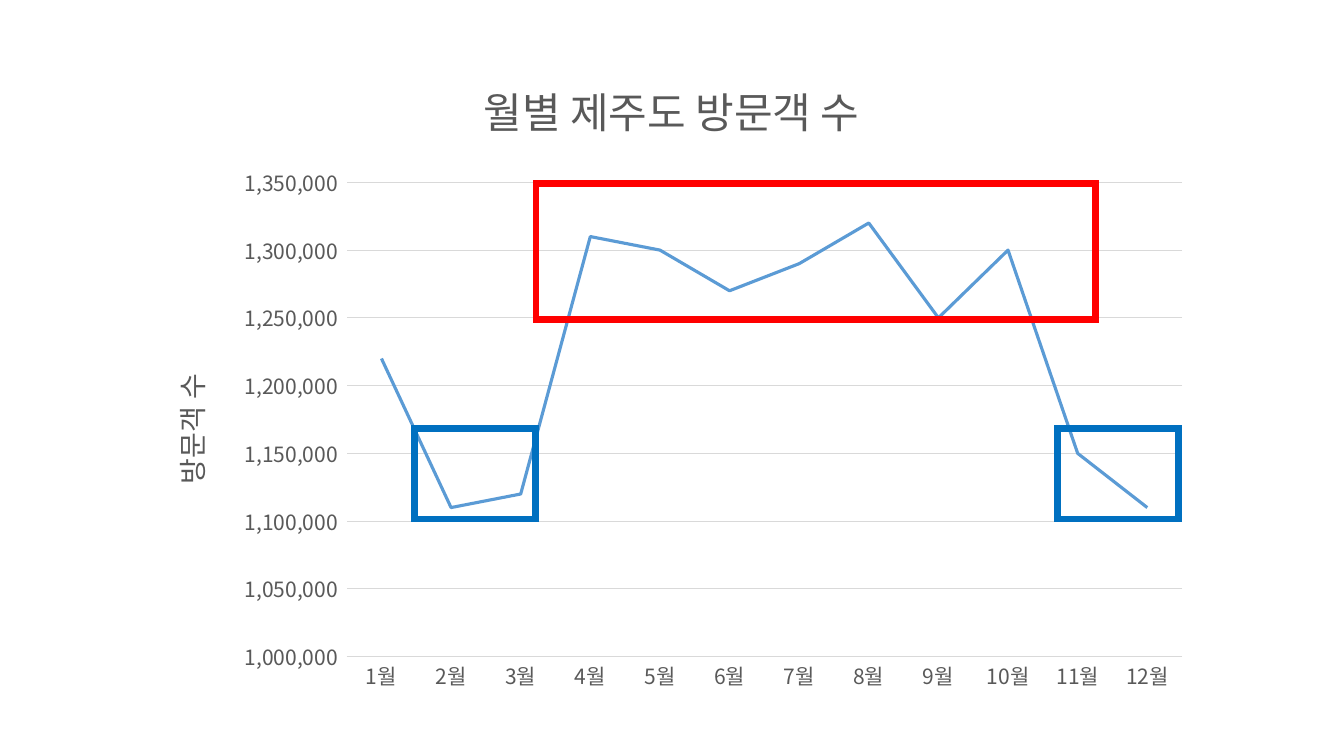
from dataclasses import dataclass

from pptx import Presentation
from pptx.chart.data import CategoryChartData
from pptx.dml.color import RGBColor
from pptx.enum.chart import XL_CHART_TYPE, XL_TICK_MARK
from pptx.enum.shapes import MSO_SHAPE
from pptx.oxml import parse_xml
from pptx.oxml.ns import nsdecls, qn
from pptx.util import Pt


@dataclass(frozen=True)
class Theme:
    font: str = "Noto Sans CJK KR"
    text: str = "595959"
    grid: str = "D9D9D9"
    series: str = "5B9BD5"
    peak: str = "FF0000"
    low: str = "0070C0"
    title_size: int = 30
    axis_title_size: int = 20
    label_size: int = 15
    grid_width: float = 0.75
    series_width: float = 2.25
    frame_width: float = 4.5


VISITORS = [1220000, 1110000, 1120000, 1310000, 1300000, 1270000,
            1290000, 1320000, 1250000, 1300000, 1150000, 1110000]
NUMBER_FORMAT = r'_(* #,##0_);_(* \(#,##0\);_(* "-"_);_(@_)'


def make_layout(x, y, width=None, height=None):
    """Return a manual chart layout, in fractions of the chart area."""
    inner = '<c:layoutTarget val="inner"/>' if width else ""
    size = f'<c:w val="{width}"/><c:h val="{height}"/>' if width else ""
    return parse_xml(
        f'<c:layout {nsdecls("c")}><c:manualLayout>{inner}'
        '<c:xMode val="edge"/><c:yMode val="edge"/>'
        f'<c:x val="{x}"/><c:y val="{y}"/>{size}'
        '</c:manualLayout></c:layout>')


def drop_layout(element):
    for layout in element.findall(qn("c:layout")):
        element.remove(layout)


class SlideBuilder:
    def __init__(self, page, theme):
        self.page = page
        self.theme = theme

    def style_font(self, font, size):
        font.name = self.theme.font
        font.size = Pt(size)
        font.bold = False
        font.color.rgb = RGBColor.from_string(self.theme.text)

    def style_line(self, line, color, width):
        line.color.rgb = RGBColor.from_string(color)
        line.width = Pt(width)

    def chart_title(self, title, text, size, x, y):
        title.text_frame.text = text
        self.style_font(title.text_frame.paragraphs[0].font, size)
        drop_layout(title.element)
        title.element.find(qn("c:tx")).addnext(make_layout(x, y))

    def line_chart(self, left, top, width, height):
        theme = self.theme
        data = CategoryChartData(number_format="#,##0")
        data.categories = [f"{month}월" for month in range(1, 13)]
        data.add_series("방문객 수", VISITORS)
        chart = self.page.shapes.add_chart(
            XL_CHART_TYPE.LINE, Pt(left), Pt(top), Pt(width), Pt(height), data).chart
        chart.has_legend = False
        self.style_font(chart.font, theme.label_size)
        chart.has_title = True
        self.chart_title(chart.chart_title, "월별 제주도 방문객 수",
                         theme.title_size, 0.314, 0.028)

        plot = chart.plots[0]
        plot.vary_by_categories = False
        series = plot.series[0]
        series.smooth = False
        self.style_line(series.format.line, theme.series, theme.series_width)

        months, counts = chart.category_axis, chart.value_axis
        for axis in (months, counts):
            axis.major_tick_mark = axis.minor_tick_mark = XL_TICK_MARK.NONE
            self.style_font(axis.tick_labels.font, theme.label_size)
        self.style_line(months.format.line, theme.grid, theme.grid_width)
        counts.format.line.fill.background()
        self.style_line(counts.major_gridlines.format.line, theme.grid, theme.grid_width)
        counts.minimum_scale = 1000000
        counts.maximum_scale = 1350000
        counts.major_unit = 50000
        counts.tick_labels.number_format = NUMBER_FORMAT
        counts.tick_labels.number_format_is_linked = False
        counts.has_title = True
        self.chart_title(counts.axis_title, "방문객 수",
                         theme.axis_title_size, 0.018, 0.487)
        body = next(counts.axis_title.element.iter(qn("a:bodyPr")))
        body.set("rot", "-5400000")
        body.set("vert", "horz")

        area = next(chart.element.iter(qn("c:plotArea")))
        drop_layout(area)
        area.insert(0, make_layout(0.192, 0.203, 0.788, 0.724))
        for latin in list(chart.element.iter(qn("a:latin"))):
            latin.addnext(parse_xml(
                f'<a:ea {nsdecls("a")} typeface="{theme.font}"/>'))

    def frame(self, left, top, width, height, color):
        """Draw an unfilled rectangle with sharp corners."""
        box = self.page.shapes.add_shape(
            MSO_SHAPE.RECTANGLE, Pt(left), Pt(top), Pt(width), Pt(height))
        box.shadow.inherit = False
        box.fill.background()
        self.style_line(box.line, color, self.theme.frame_width)
        outline = next(box.element.iter(qn("a:ln")))
        outline.append(parse_xml(f'<a:miter {nsdecls("a")} lim="800000"/>'))


def main():
    deck = Presentation()
    deck.slide_width, deck.slide_height = Pt(960), Pt(540)
    theme = Theme()
    builder = SlideBuilder(deck.slides.add_slide(deck.slide_layouts[6]), theme)
    builder.line_chart(102.2, 35.3, 757.4, 468)
    builder.frame(383, 131, 399.6, 97.2, theme.peak)
    for left in (296.2, 755.5):
        builder.frame(left, 306, 86.4, 64.8, theme.low)
    deck.save("out.pptx")


if __name__ == "__main__":
    main()
